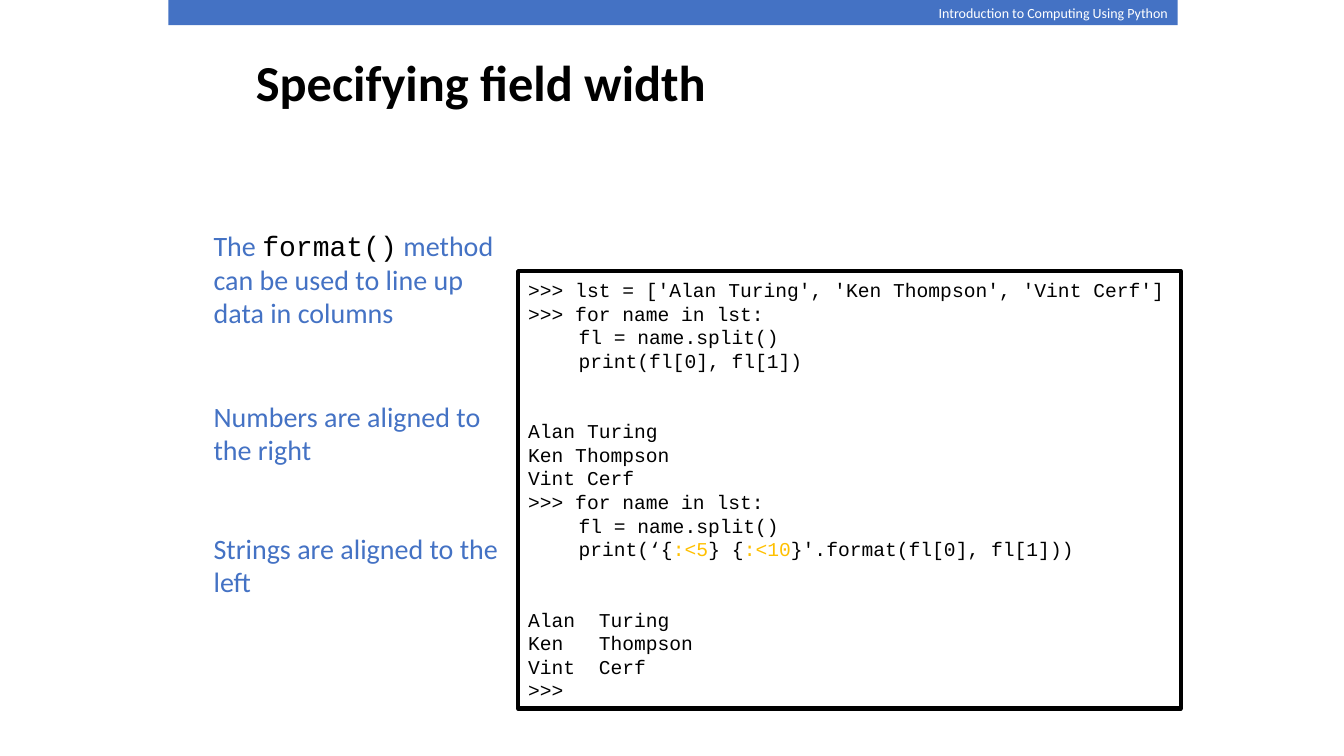
import pptx
import pptx.util
import pptx.dml.color
import pptx.enum.shapes
import pptx.enum.text
from dataclasses import dataclass

Inches = pptx.util.Inches
Pt = pptx.util.Pt
ALIGN = pptx.enum.text.PP_ALIGN
ANCHOR = pptx.enum.text.MSO_ANCHOR


@dataclass(frozen=True)
class Theme:
    blue: str = "4472C4"
    black: str = "000000"
    white: str = "FFFFFF"
    gold: str = "FFC000"
    sans: str = "Calibri"
    mono: str = "Courier New"
    title: float = 36
    note: float = 20
    code: float = 14
    code_line: float = 16.8
    header: float = 10
    border: float = 3


THEME = Theme()

NOTES = [
    (2.22, 1.11, [("The ", False), ("format()", True),
                  (" method can be used to line up data in columns", False)]),
    (3.91, 0.77, [("Numbers are aligned to the right", False)]),
    (5.22, 0.77, [("Strings are aligned to the left", False)]),
]

LOOP = [">>> for name in lst:", "\tfl = name.split()"]
SESSION = [
    [">>> lst = ['Alan Turing', 'Ken Thompson', 'Vint Cerf']", *LOOP,
     "\tprint(fl[0], fl[1])"],
    ["Alan Turing", "Ken Thompson", "Vint Cerf", *LOOP,
     ["\tprint(‘{", ":<5", "} {", ":<10", "}'.format(fl[0], fl[1]))"]],
    ["Alan  Turing", "Ken   Thompson", "Vint  Cerf", ">>>"],
]


def rgb(value):
    return pptx.dml.color.RGBColor.from_string(value)


def add_span(para, text, size, color, font=THEME.sans, bold=False):
    span = para.add_run()
    span.text = text
    span.font.name = font
    span.font.size = Pt(size)
    span.font.bold = bold
    span.font.color.rgb = rgb(color)


def add_text(page, box, anchor=ANCHOR.TOP):
    frame = page.shapes.add_textbox(*map(Inches, box)).text_frame
    frame.word_wrap = True
    frame.vertical_anchor = anchor
    return frame.paragraphs[0]


def add_panel(page, box, fill):
    panel = page.shapes.add_shape(
        pptx.enum.shapes.MSO_SHAPE.RECTANGLE, *map(Inches, box))
    panel.shadow.inherit = False
    panel.fill.solid()
    panel.fill.fore_color.rgb = rgb(fill)
    panel.line.fill.background()
    return panel


def add_header(page, box):
    left, top, width, height = box
    add_panel(page, box, THEME.blue)
    label = 2.5
    para = add_text(page, (left + width - label, top, label, height + 0.02))
    para.alignment = ALIGN.RIGHT
    add_span(para, "Introduction to Computing Using Python",
             THEME.header, THEME.white)


def add_title(page, box):
    para = add_text(page, box, ANCHOR.MIDDLE)
    add_span(para, "Specifying field width", THEME.title, THEME.black, bold=True)


def add_notes(page, left, width):
    for top, height, spans in NOTES:
        para = add_text(page, (left, top, width, height))
        for text, is_code in spans:
            color, font = ((THEME.black, THEME.mono) if is_code
                           else (THEME.blue, THEME.sans))
            add_span(para, text, THEME.note, color, font)


def add_session(page, box):
    panel = add_panel(page, box, THEME.white)
    panel.line.color.rgb = rgb(THEME.black)
    panel.line.width = Pt(THEME.border)
    frame = panel.text_frame
    frame.word_wrap = True
    frame.vertical_anchor = ANCHOR.MIDDLE
    para = frame.paragraphs[0]
    for block_number, block in enumerate(SESSION):
        for line_number, line in enumerate(block):
            if block_number or line_number:
                para = frame.add_paragraph()
            para.alignment = ALIGN.LEFT
            para.line_spacing = Pt(THEME.code_line)
            if block_number and not line_number:
                para.space_before = Pt(2 * THEME.code_line)
            spans = [line] if isinstance(line, str) else line
            for index, text in enumerate(spans):
                color = THEME.gold if index % 2 else THEME.black
                add_span(para, text, THEME.code, color, THEME.mono)


def main():
    deck = pptx.Presentation()
    deck.slide_width = Inches(13.33)
    deck.slide_height = Inches(7.5)
    page = deck.slides.add_slide(deck.slide_layouts[6])
    add_header(page, (1.67, 0, 10.01, 0.25))
    add_title(page, (2.44, 0, 8.5, 1.61))
    add_notes(page, 2.02, 3.12)
    add_session(page, (5.14, 2.69, 6.57, 4.34))
    deck.save("out.pptx")


if __name__ == "__main__":
    main()
